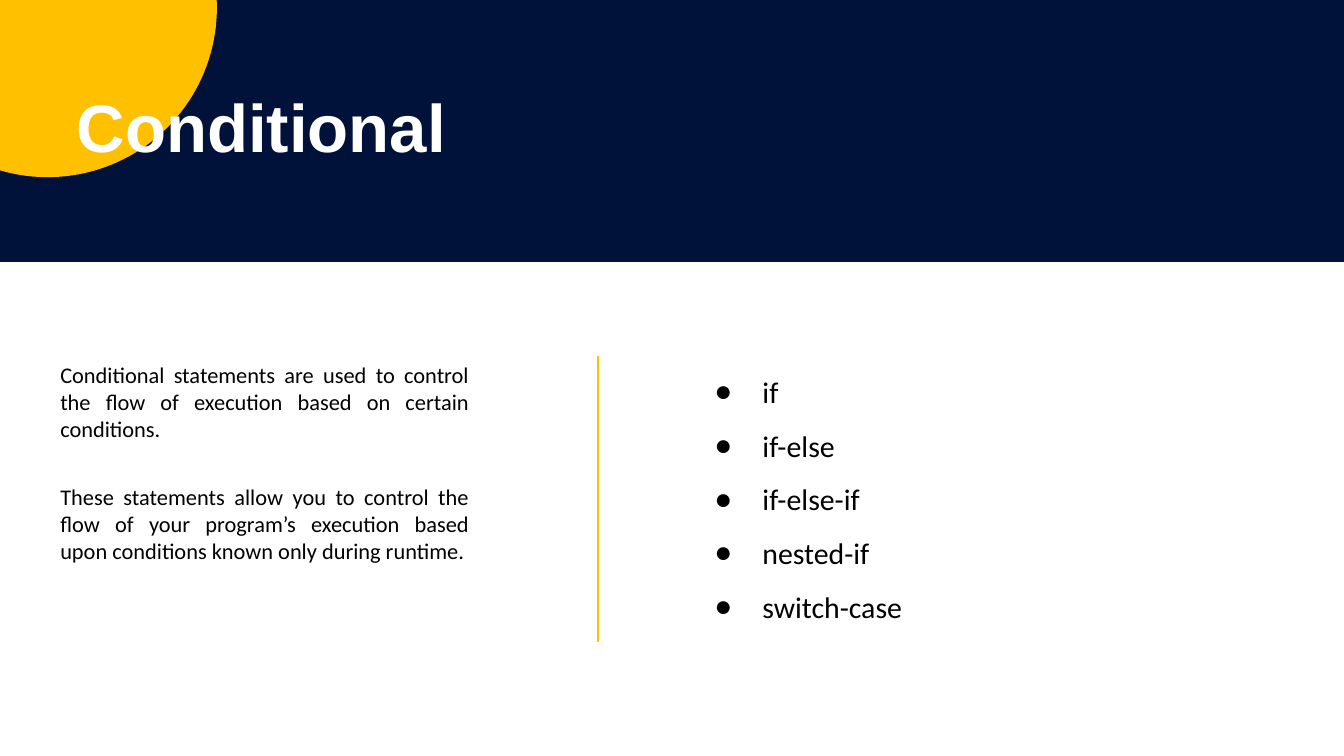
import math

from lxml import etree
from pptx import Presentation
from pptx.dml.color import RGBColor
from pptx.enum.shapes import MSO_CONNECTOR, MSO_SHAPE
from pptx.enum.text import PP_ALIGN
from pptx.oxml.ns import qn
from pptx.util import Cm, Pt

RECTANGLE = MSO_SHAPE.RECTANGLE
STRAIGHT = MSO_CONNECTOR.STRAIGHT
LEFT = PP_ALIGN.LEFT
JUSTIFY = PP_ALIGN.JUSTIFY

WIDTH, HEIGHT = 25.4, 14.29
NAVY, GOLD, WHITE, BLACK = "001239", "FFC000", "FFFFFF", "000000"

TITLE = "Conditional"
EXPLANATIONS = [
    "Conditional statements are used to control the flow of execution based on certain conditions.",
    "These statements allow you to control the flow of your program’s execution based upon "
    "conditions known only during runtime.",
]
STATEMENTS = ["if", "if-else", "if-else-if", "nested-if", "switch-case"]


def color(value):
    """Return the colour for a hex string."""
    return RGBColor.from_string(value)


def paint(shape, fill):
    """Give a shape a plain fill without line or shadow."""
    shape.shadow.inherit = False
    shape.fill.solid()
    shape.fill.fore_color.rgb = color(fill)
    shape.line.fill.background()


def add_bullet(paragraph, margin, hanging):
    """Give a paragraph a round bullet with a hanging indent."""
    properties = paragraph._p.get_or_add_pPr()
    properties.set("marL", str(Cm(margin)))
    properties.set("indent", str(-Cm(hanging)))
    etree.SubElement(properties, qn("a:buFont")).set("typeface", "Arial")
    etree.SubElement(properties, qn("a:buChar")).set("char", "●")


def add_text(slide, box, lines, size, font="Calibri", fill=BLACK, bold=False,
             align=LEFT, gap=0, line_height=None, bulleted=False):
    """Add a text box with one paragraph for each line."""
    frame = slide.shapes.add_textbox(*map(Cm, box)).text_frame
    frame.word_wrap = True
    frame.margin_left = frame.margin_top = frame.margin_right = frame.margin_bottom = 0
    for index, line in enumerate(lines):
        paragraph = frame.add_paragraph() if index else frame.paragraphs[0]
        paragraph.alignment = align
        if index:
            paragraph.space_before = Pt(gap)
        if line_height:
            paragraph.line_spacing = Pt(line_height)
        if bulleted:
            add_bullet(paragraph, 0.97, 0.91)
        run = paragraph.add_run()
        run.text = line
        run.font.name = font
        run.font.size = Pt(size)
        run.font.bold = bold
        run.font.color.rgb = color(fill)


def add_corner_disc(slide, left, top, center_x, center_y, radius):
    """Draw the part of a disc that lies right of and below a corner."""
    start = -math.asin(center_y / radius)
    end = math.pi - math.acos(center_x / radius)
    steps = 48
    angles = [start + (end - start) * step / steps for step in range(steps + 1)]
    points = [(Cm(left + center_x + radius * math.cos(angle)),
               Cm(top + center_y + radius * math.sin(angle))) for angle in angles]
    builder = slide.shapes.build_freeform(Cm(left), Cm(top))
    builder.add_line_segments(points, close=True)
    paint(builder.convert_to_shape(), GOLD)


def add_header(slide, left, top, width, height):
    """Add the navy band with its corner disc and title."""
    band = slide.shapes.add_shape(RECTANGLE, Cm(left), Cm(top), Cm(width), Cm(height))
    paint(band, NAVY)
    add_corner_disc(slide, left, top, 0.9, 0.15, 3.2)
    add_text(slide, (left + 1.45, top + 1.65, 7.5, 1.5), [TITLE], 36, font="Arial",
             fill=WHITE, bold=True, line_height=42.1)


def add_explanations(slide, left, top, width, pitch):
    """Add the justified explanations at equal steps."""
    for index, text in enumerate(EXPLANATIONS):
        add_text(slide, (left, top + index * pitch, width, 1.6), [text], 12, align=JUSTIFY)


def add_divider(slide, left, top, height):
    """Add the vertical gold line."""
    line = slide.shapes.add_connector(STRAIGHT, Cm(left), Cm(top), Cm(left), Cm(top + height))
    line.line.color.rgb = color(GOLD)
    line.line.width = Pt(1.5)
    etree.SubElement(line._element.spPr, qn("a:effectLst"))


def add_statements(slide, left, top, width, height):
    """Add the bulleted list of statements."""
    add_text(slide, (left, top, width, height), STATEMENTS, 16, gap=9.6, bulleted=True)


def main():
    """Build and save the presentation."""
    presentation = Presentation()
    presentation.slide_width, presentation.slide_height = Cm(WIDTH), Cm(HEIGHT)
    slide = presentation.slides.add_slide(presentation.slide_layouts[6])
    add_header(slide, 0, 0, WIDTH, 4.95)
    add_divider(slide, 11.3, 6.73, 5.41)
    add_explanations(slide, 1.14, 6.83, 7.73, 2.31)
    add_statements(slide, 13.44, 7.06, 4, 4.8)
    presentation.save("out.pptx")


if __name__ == "__main__":
    main()
